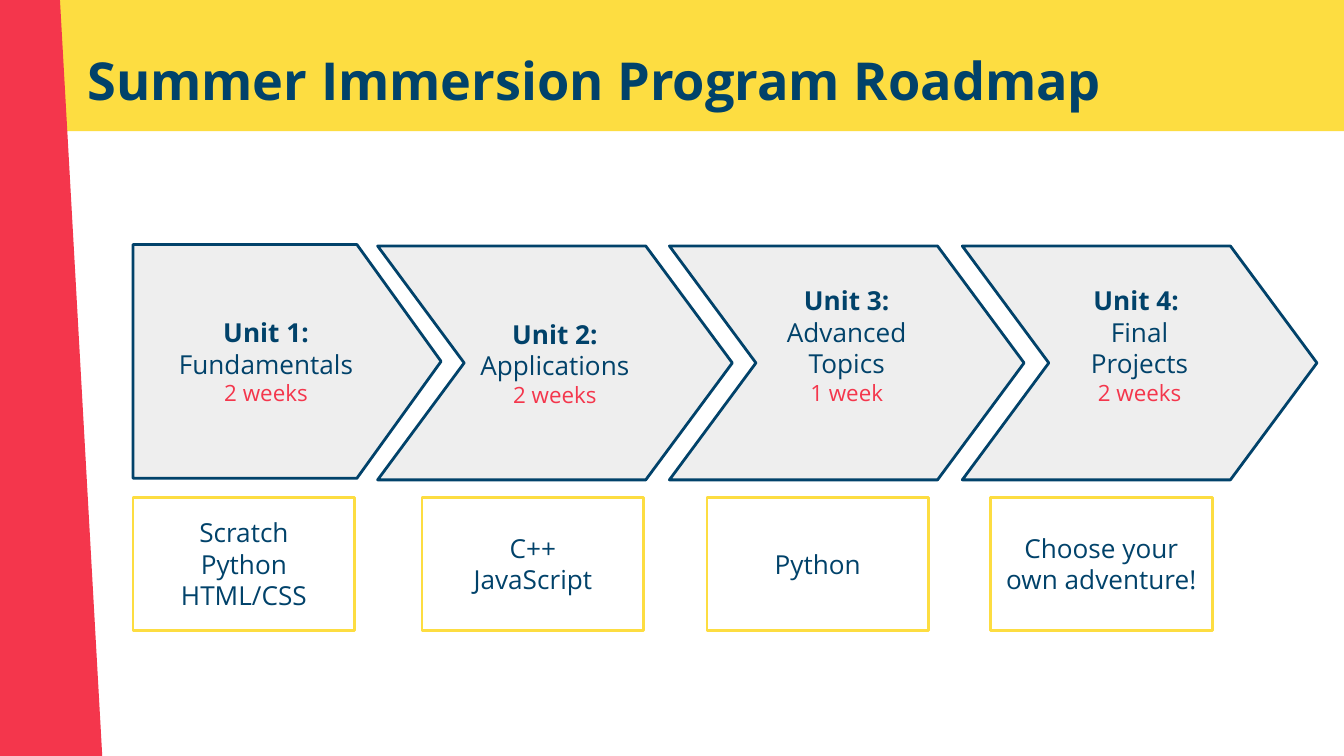
from pptx import Presentation
from pptx.dml.color import RGBColor
from pptx.enum.shapes import MSO_SHAPE
from pptx.enum.text import MSO_ANCHOR, MSO_AUTO_SIZE, PP_ALIGN
from pptx.util import Pt

NAVY, RED, YELLOW, GREY = "01426A", "F4364C", "FDDD41", "EEEEEE"
INSET = 7.2
LINE_HEIGHT = 19

UNIT_TOP, UNIT_HEIGHT = 131.8, 125.3
BOX_TOP, BOX_WIDTH, BOX_HEIGHT = 266.4, 118.8, 71.3

# Left edge, paragraphs of (text, bold) runs, duration, lines kept free below
UNITS = [
    (202.3, [[("Unit 2: ", True), ("Applications", False)]], "2 weeks", 0),
    (358.6, [[("Unit 3: ", True), ("Advanced Topics", False)]], "1 week", 1),
    (515.5, [[("Unit 4: ", True)], [("Final Projects", False)]], "2 weeks", 1),
]
FIRST_UNIT = [[("Unit 1: ", True), ("Fundamentals", False)]]
LANGUAGES = [
    (71.3, ["Scratch", "Python HTML/CSS"]),
    (226.1, ["C++", "JavaScript"]),
    (378.7, ["Python"]),
    (530.6, ["Choose your own adventure!"]),
]


def color(hex_string):
    return RGBColor.from_string(hex_string)


def add_text(paragraph, text, size=14, fill=NAVY, bold=False, font="Open Sans",
             align=PP_ALIGN.CENTER):
    paragraph.alignment = align
    run = paragraph.add_run()
    run.text = text
    run.font.name = font
    run.font.size = Pt(size)
    run.font.bold = bold
    run.font.color.rgb = color(fill)


def add_paragraph(frame):
    """Return the empty first paragraph of the frame, or a new one."""
    first = frame.paragraphs[0]
    return frame.add_paragraph() if first.runs else first


def format_frame(frame, anchor=MSO_ANCHOR.MIDDLE, bottom=INSET):
    frame.word_wrap = True
    frame.auto_size = MSO_AUTO_SIZE.NONE
    frame.vertical_anchor = anchor
    frame.margin_left = frame.margin_right = frame.margin_top = Pt(INSET)
    frame.margin_bottom = Pt(bottom)


class RoadmapSlide:
    line_width = 1.5

    def __init__(self, slide):
        self.slide = slide

    def shape(self, kind, left, top, width, height, fill=None, line=None):
        shape = self.slide.shapes.add_shape(
            kind, Pt(left), Pt(top), Pt(width), Pt(height))
        shape.shadow.inherit = False
        if fill:
            shape.fill.solid()
            shape.fill.fore_color.rgb = color(fill)
        else:
            shape.fill.background()
        if line:
            shape.line.color.rgb = color(line)
            shape.line.width = Pt(self.line_width)
        else:
            shape.line.fill.background()
        return shape

    def band(self, left, top, width, height, fill, rotation=0):
        band = self.shape(MSO_SHAPE.RECTANGLE, left, top, width, height, fill)
        band.rotation = rotation

    def title(self, text, left, top, width, height):
        title = self.slide.shapes.title
        title.left, title.top = Pt(left), Pt(top)
        title.width, title.height = Pt(width), Pt(height)
        format_frame(title.text_frame, anchor=MSO_ANCHOR.TOP)
        add_text(title.text_frame.paragraphs[0], text, size=28, bold=True,
                 align=PP_ALIGN.LEFT)
        # Bring the title in front of the bands
        title.element.getparent().append(title.element)

    def unit(self, kind, left, top, width, point, paragraphs, duration,
             free_lines=0):
        arrow = self.shape(kind, left, top, width, UNIT_HEIGHT, GREY, NAVY)
        arrow.adjustments[0] = point
        frame = arrow.text_frame
        format_frame(frame, bottom=INSET + free_lines * LINE_HEIGHT)
        for runs in paragraphs:
            paragraph = add_paragraph(frame)
            for text, bold in runs:
                add_text(paragraph, text, bold=bold)
        add_text(add_paragraph(frame), duration, size=12, fill=RED)

    def language_box(self, left, lines):
        box = self.shape(MSO_SHAPE.RECTANGLE, left, BOX_TOP, BOX_WIDTH,
                         BOX_HEIGHT, line=YELLOW)
        format_frame(box.text_frame)
        for text in lines:
            add_text(add_paragraph(box.text_frame), text)


def main():
    presentation = Presentation()
    presentation.slide_width, presentation.slide_height = Pt(720), Pt(405)
    title_only = presentation.slide_layouts[5]
    roadmap = RoadmapSlide(presentation.slides.add_slide(title_only))

    roadmap.band(-60.5, -5, 792, 75.3, YELLOW)
    roadmap.band(-369.4, 50.4, 735.1, 77.8, RED, rotation=86.8)
    roadmap.title("Summer Immersion Program Roadmap", 39.6, 18.7, 671, 45.4)

    roadmap.unit(MSO_SHAPE.PENTAGON, 71.3, UNIT_TOP - 0.8, 165, 0.36,
                 FIRST_UNIT, "2 weeks")
    for left, paragraphs, duration, free_lines in UNITS:
        roadmap.unit(MSO_SHAPE.CHEVRON, left, UNIT_TOP, 190, 0.37,
                     paragraphs, duration, free_lines)
    for left, lines in LANGUAGES:
        roadmap.language_box(left, lines)

    presentation.save("out.pptx")


if __name__ == "__main__":
    main()
